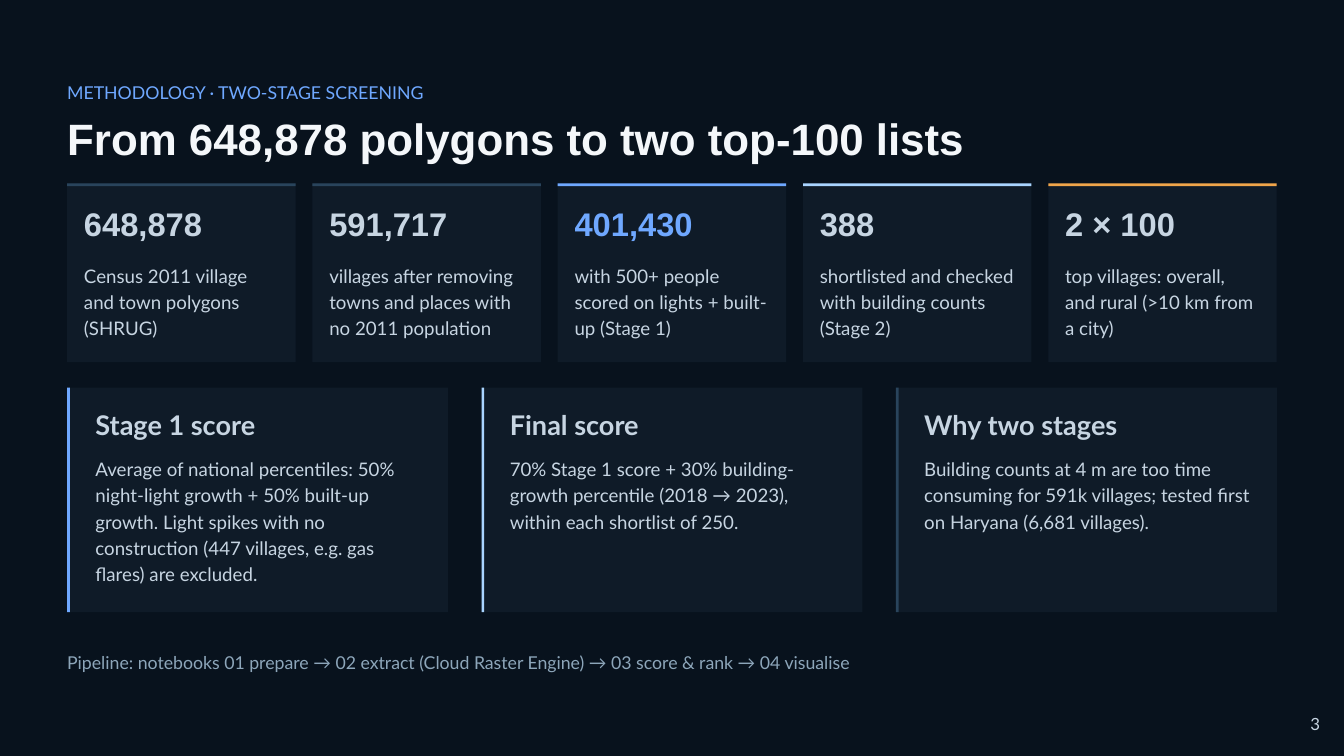
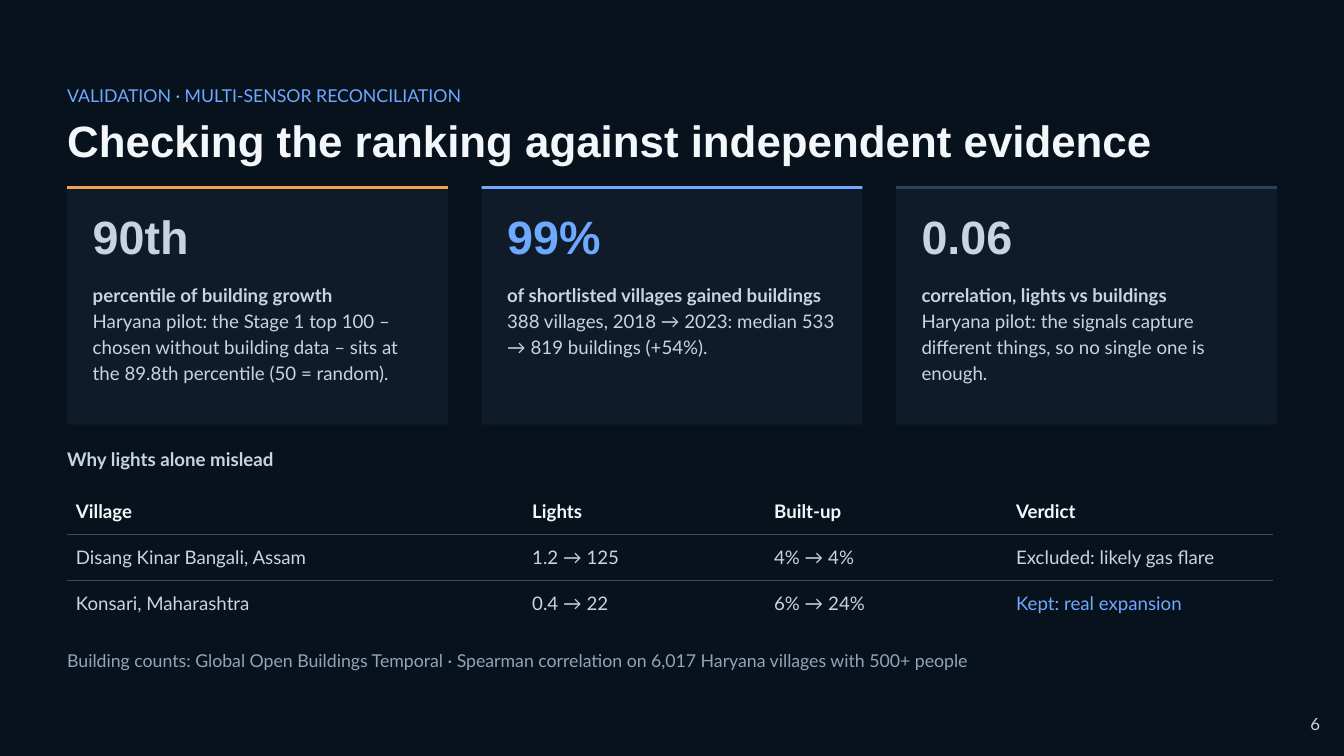
from dataclasses import dataclass, replace

from lxml.etree import SubElement
from pptx import Presentation
from pptx.dml.color import RGBColor
from pptx.enum.shapes import MSO_SHAPE as Shape
from pptx.enum.text import MSO_ANCHOR as Anchor, MSO_AUTO_SIZE as AutoSize, PP_ALIGN as Align
from pptx.oxml.ns import qn
from pptx.util import Inches, Pt


@dataclass(frozen=True)
class TextStyle:
    size: float
    leading: float
    color: str
    bold: bool = False
    font: str = "Lato"


class Theme:
    background = "08121D"
    card = "0F1B28"
    rule = "434B53"
    slate = "29445C"
    blue = "6FA8FF"
    pale_blue = "A9D4FF"
    orange = "F0A54A"
    text = "C7D5E2"
    white = "F4F7FA"

    kicker = TextStyle(19, 26.7, blue)
    title = TextStyle(47, 51.9, white, True, "Arial")
    stat = TextStyle(35, 34.9, text, True, "Arial")
    large_stat = TextStyle(50, 49.8, text, True, "Arial")
    heading = TextStyle(29, 32, text, True)
    body = TextStyle(20, 28.1, text)
    strong = replace(body, bold=True)
    cell = replace(body, leading=24)
    header_cell = TextStyle(20, 24, white, True)
    note = TextStyle(19, 26.7, "8DA6BA")
    number = TextStyle(18, 25.3, text)


MARGIN = 1
CONTENT_WIDTH = 18
BAR = 0.04


def rgb(color):
    return RGBColor.from_string(color)


def columns(count, gap):
    """Return the left edges and the shared width of equal columns."""
    width = (CONTENT_WIDTH - gap * (count - 1)) / count
    return [MARGIN + index * (width + gap) for index in range(count)], width


def write(frame, lines, anchor=Anchor.TOP):
    """Fill a text frame with (text, style) pairs, one paragraph each."""
    frame.word_wrap = True
    frame.auto_size = AutoSize.NONE
    frame.vertical_anchor = anchor
    frame.margin_left = frame.margin_top = frame.margin_right = frame.margin_bottom = 0
    for index, (text, style) in enumerate(lines):
        para = frame.add_paragraph() if index else frame.paragraphs[0]
        write_paragraph(para, text, style)


def write_paragraph(para, text, style):
    para.text = text
    para.alignment = Align.LEFT
    para.line_spacing = Pt(style.leading)
    para.space_before = Pt(0)
    font = para.font
    font.name, font.size, font.bold = style.font, Pt(style.size), style.bold
    font.color.rgb = rgb(style.color)


def add_text(slide, left, top, width, height, *lines, anchor=Anchor.TOP):
    box = slide.shapes.add_textbox(*map(Inches, (left, top, width, height)))
    write(box.text_frame, lines, anchor)


def add_rectangle(slide, left, top, width, height, color):
    box = slide.shapes.add_shape(Shape.RECTANGLE, *map(Inches, (left, top, width, height)))
    box.shadow.inherit = False
    box.fill.solid()
    box.fill.fore_color.rgb = rgb(color)
    box.line.fill.background()


def add_page(deck, kicker, title, note, note_top, number, top):
    page = deck.slides.add_slide(deck.slide_layouts[5])
    add_text(page, MARGIN, top, 19, 0.4, (kicker, Theme.kicker))
    heading = page.shapes.title
    heading.left, heading.top = Inches(MARGIN), Inches(top + 0.55)
    heading.width, heading.height = Inches(CONTENT_WIDTH), Inches(0.71)
    write(heading.text_frame, [(title, Theme.title)])
    add_text(page, MARGIN, note_top, 19, 0.4, (note, Theme.note))
    add_text(page, 19.5, 10.55, 0.5, 0.38, (number, Theme.number), anchor=Anchor.MIDDLE)
    return page


def add_stat_card(page, left, top, width, height, accent, stat, lines, style, inset, stat_drop, body_drop):
    """Draw a card with a bar on top, a big figure and its explanation."""
    add_rectangle(page, left, top, width, height, Theme.card)
    add_rectangle(page, left, top, width, BAR, accent)
    text_width = width - 2 * inset
    if accent == Theme.blue:
        style = replace(style, color=Theme.blue)
    add_text(page, left + inset, top + stat_drop, text_width, style.leading / 80, (stat, style))
    body_height = height - body_drop - inset + 0.04
    add_text(page, left + inset, top + body_drop, text_width, body_height, *lines)


def add_stage_card(page, left, width, accent, heading, body, body_height):
    """Draw a card with a bar on its left side, a heading and a paragraph."""
    top, height, inset = 5.77, 3.34, 0.42
    add_rectangle(page, left, top, width, height, Theme.card)
    add_rectangle(page, left, top, BAR, height, accent)
    add_text(page, left + inset, top + 0.35, 4.88, 0.43, (heading, Theme.heading))
    add_text(page, left + inset, top + 0.99, 4.88, body_height, (body, Theme.body))


def set_borders(cell, **colors):
    properties = cell._tc.get_or_add_tcPr()
    for side in "LRTB":
        line = SubElement(properties, qn(f"a:ln{side}"), w=str(Pt(1)))
        fill = SubElement(line, qn("a:solidFill"))
        SubElement(fill, qn("a:srgbClr"), val=colors.get(side, Theme.background))


def add_village_table(page, rows):
    widths, heights = (6.79, 3.6, 3.6, 3.95), (0.69, 0.69, 0.67)
    frame = page.shapes.add_table(len(rows), len(widths), Inches(MARGIN), Inches(7.26),
                                  Inches(sum(widths)), Inches(sum(heights)))
    table = frame.table
    table.first_row = table.horz_banding = False
    for column, width in zip(table.columns, widths):
        column.width = Inches(width)
    last = len(rows) - 1
    for row_index, (row, height) in enumerate(zip(rows, heights)):
        table.rows[row_index].height = Inches(height)
        for column_index, text in enumerate(row):
            cell = table.cell(row_index, column_index)
            cell.margin_left = cell.margin_right = Inches(0.13)
            cell.margin_top = cell.margin_bottom = Inches(0.13)
            cell.vertical_anchor = Anchor.MIDDLE
            style = Theme.cell if row_index else Theme.header_cell
            if text.startswith("Kept"):
                style = replace(style, color=Theme.blue)
            write_paragraph(cell.text_frame.paragraphs[0], text, style)
            set_borders(cell,
                        T=Theme.rule if row_index else Theme.background,
                        B=Theme.rule if row_index < last else Theme.background)
            cell.fill.background()


def build_methodology(deck):
    page = add_page(deck, "METHODOLOGY · TWO-STAGE SCREENING",
                    "From 648,878 polygons to two top-100 lists",
                    "Pipeline: notebooks 01 prepare → 02 extract (Cloud Raster Engine)"
                    " → 03 score & rank → 04 visualise", 9.65, "3", top=1.17)
    funnel = [
        (Theme.slate, "648,878", "Census 2011 village and town polygons (SHRUG)"),
        (Theme.slate, "591,717", "villages after removing towns and places with no 2011 population"),
        (Theme.blue, "401,430", "with 500+ people scored on lights + built-up (Stage 1)"),
        (Theme.pale_blue, "388", "shortlisted and checked with building counts (Stage 2)"),
        (Theme.orange, "2 × 100", "top villages: overall, and rural (>10 km from a city)"),
    ]
    lefts, width = columns(len(funnel), 0.25)
    for left, (accent, stat, body) in zip(lefts, funnel):
        add_stat_card(page, left, 2.73, width, 2.66, accent, stat, [(body, Theme.body)],
                      Theme.stat, inset=0.25, stat_drop=0.4, body_drop=1.15)

    stages = [
        (Theme.blue, "Stage 1 score",
         "Average of national percentiles: 50% night-light growth + 50% built-up growth. "
         "Light spikes with no construction (447 villages, e.g. gas flares) are excluded.", 2.01),
        (Theme.pale_blue, "Final score",
         "70% Stage 1 score + 30% building-growth percentile (2018 → 2023), "
         "within each shortlist of 250.", 1.22),
        (Theme.slate, "Why two stages",
         "Building counts at 4 m are too time consuming for 591k villages; "
         "tested first on Haryana (6,681 villages).", 1.22),
    ]
    lefts, width = columns(len(stages), 0.5)
    for left, stage in zip(lefts, stages):
        add_stage_card(page, left, width, *stage)


def build_validation(deck):
    page = add_page(deck, "VALIDATION · MULTI-SENSOR RECONCILIATION",
                    "Checking the ranking against independent evidence",
                    "Building counts: Global Open Buildings Temporal · Spearman correlation"
                    " on 6,017 Haryana villages with 500+ people", 9.62, "6", top=1.21)
    evidence = [
        (Theme.orange, "90th", "percentile of building growth",
         "Haryana pilot: the Stage 1 top 100 – chosen without building data – "
         "sits at the 89.8th percentile (50 = random)."),
        (Theme.blue, "99%", "of shortlisted villages gained buildings",
         "388 villages, 2018 → 2023: median 533 → 819 buildings (+54%)."),
        (Theme.slate, "0.06", "correlation, lights vs buildings",
         "Haryana pilot: the signals capture different things, so no single one is enough."),
    ]
    lefts, width = columns(len(evidence), 0.5)
    for left, (accent, stat, claim, detail) in zip(lefts, evidence):
        add_stat_card(page, left, 2.77, width, 3.55, accent, stat,
                      [(claim, Theme.strong), (detail, Theme.body)],
                      Theme.large_stat, inset=0.38, stat_drop=0.47, body_drop=1.39)

    add_text(page, MARGIN, 6.61, 19, 0.44, ("Why lights alone mislead", Theme.strong))
    add_village_table(page, [
        ("Village", "Lights", "Built-up", "Verdict"),
        ("Disang Kinar Bangali, Assam", "1.2 → 125", "4% → 4%", "Excluded: likely gas flare"),
        ("Konsari, Maharashtra", "0.4 → 22", "6% → 24%", "Kept: real expansion"),
    ])


def main():
    deck = Presentation()
    deck.slide_width, deck.slide_height = Inches(20), Inches(11.25)
    backdrop = deck.slide_master.background.fill
    backdrop.solid()
    backdrop.fore_color.rgb = rgb(Theme.background)
    build_methodology(deck)
    build_validation(deck)
    deck.save("out.pptx")


if __name__ == "__main__":
    main()
